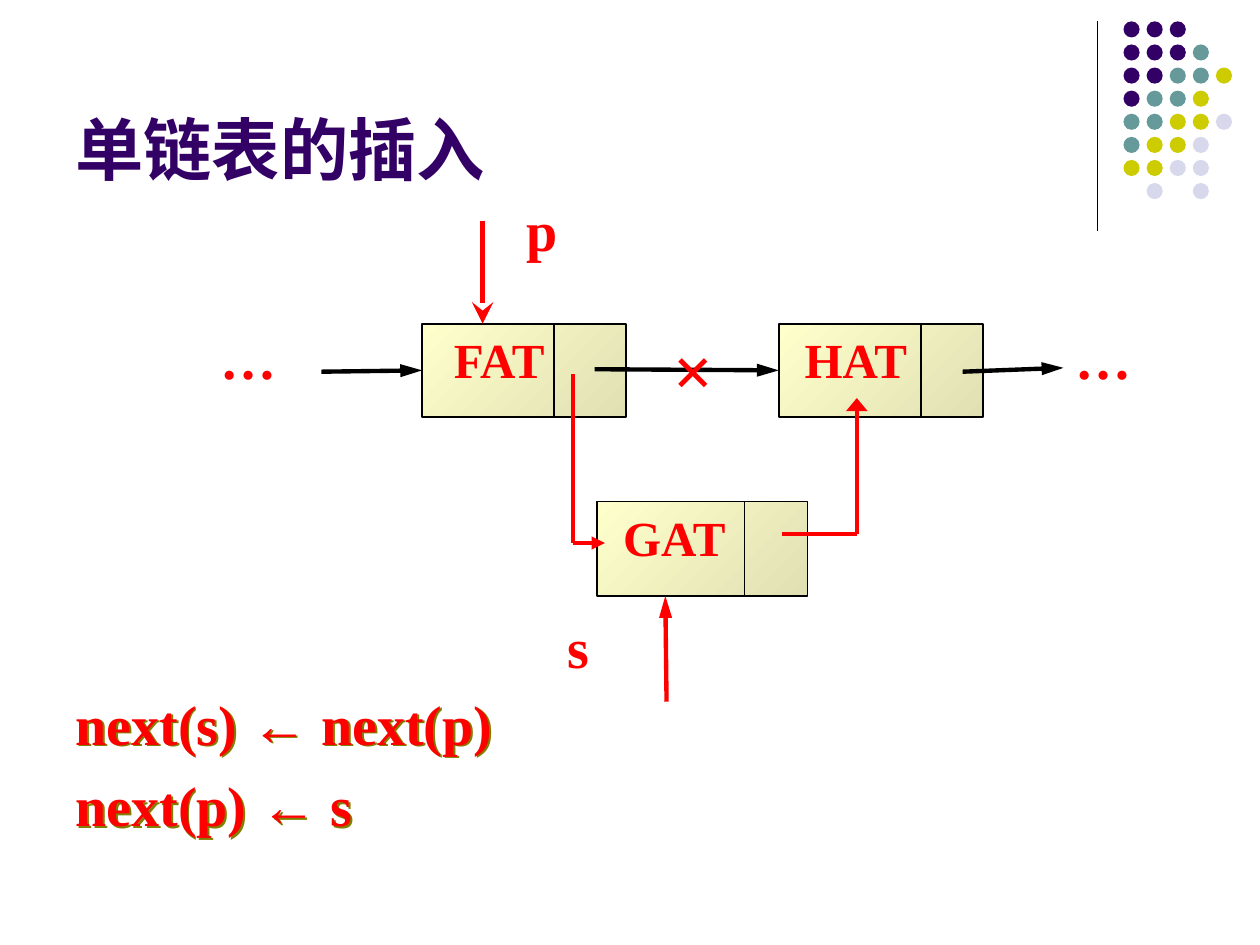
import pptx
import pptx.util
import pptx.dml.color
import pptx.enum.shapes
import pptx.enum.text
import pptx.oxml.ns
from lxml import etree

Pt = pptx.util.Pt
SHAPE = pptx.enum.shapes.MSO_SHAPE
ALIGN = pptx.enum.text.PP_ALIGN
FIT = pptx.enum.text.MSO_AUTO_SIZE
COLORS = {
    "black": "000000", "red": "FF0000", "purple": "330066", "teal": "669999",
    "olive": "CCCC00", "lavender": "D8D8EC", "cream": "FFFFCC", "sand": "E0E0B3",
    "shadow": "808000",
}
SERIF = {"name": "Times New Roman", "size": Pt(32), "bold": True}
DOT_ROWS = ["PPP", "PPPT", "PPTTO", "PTTO", "TTOOL", "TOOL", "OOLL", " L L"]
DOT_COLORS = {"P": "purple", "T": "teal", "O": "olive", "L": "lavender"}


def rgb(name):
    return pptx.dml.color.RGBColor.from_string(COLORS[name])


def child(parent, tag, **values):
    return etree.SubElement(parent, pptx.oxml.ns.qn(tag), **values)


def set_values(target, values):
    for name, value in values.items():
        setattr(target, name, value)


def text(s, box, paragraphs, font=SERIF, color="red", para=None, **frame):
    sp = s.shapes.add_textbox(*map(Pt, box))
    tf = sp.text_frame
    set_values(tf, {"word_wrap": True, "auto_size": FIT.SHAPE_TO_FIT_TEXT, **frame})
    for i, runs in enumerate(paragraphs):
        p = tf.add_paragraph() if i else tf.paragraphs[0]
        set_values(p, para or {})
        for content in runs:
            r = p.add_run()
            r.text = content
            set_values(r.font, font)
            if content == "←":
                r.font.name = "Arial"
            r.font.color.rgb = rgb(color)
    return sp


def line(s, start, end, color="black", width=2.5, head=None, target=None):
    sp = s.shapes.add_connector(pptx.enum.shapes.MSO_CONNECTOR.STRAIGHT,
                                *map(Pt, (*start, *end)))
    if target is not None:
        sp.end_connect(target, 1)
    sp.line.color.rgb = rgb(color)
    sp.line.width = Pt(width)
    if head:
        kind, w, length = head
        child(sp.line._get_or_add_ln(), "a:tailEnd", type=kind, w=w, len=length)
    child(sp._element.spPr, "a:effectLst")


def dots(s, x, y, step, size):
    for row, codes in enumerate(DOT_ROWS):
        for col, code in enumerate(codes):
            if code == " ":
                continue
            sp = s.shapes.add_shape(SHAPE.OVAL, Pt(x + col * step), Pt(y + row * step),
                                    Pt(size), Pt(size))
            sp.shadow.inherit = False
            sp.fill.solid()
            sp.fill.fore_color.rgb = rgb(DOT_COLORS[code])
            sp.line.fill.background()


def corner(s, x, y, h):
    line(s, (x, y), (x, y + h), width=0.75)
    dots(s, x + 15, y, 13.2, 9.2)


def node(s, x, y, w, h, split, label):
    sp = s.shapes.add_shape(SHAPE.RECTANGLE, *map(Pt, (x, y, w, h)))
    sp.shadow.inherit = False
    sp.fill.gradient()
    sp.fill.gradient_angle = 315
    for stop, name, position in zip(sp.fill.gradient_stops, ("cream", "sand"), (0, 1)):
        stop.color.rgb = rgb(name)
        stop.position = position
    sp.line.color.rgb = rgb("black")
    sp.line.width = Pt(1)
    line(s, (x + split, y), (x + split, y + h), width=1)
    text(s, (x + 5.8, y, 76.5, 41), [[label]], {**SERIF, "size": Pt(28)},
         para={"alignment": ALIGN.CENTER, "space_before": Pt(17.5)})
    return sp


def diagram(s, x, y):
    def at(dx, dy):
        return x + dx, y + dy

    for dx in (0, 488.9):
        text(s, (*at(dx, 71.3), 58.3, 47.5), [["…"]],
             para={"line_spacing": 1.05, "space_before": Pt(14), "space_after": Pt(22)})
    fat = node(s, *at(122.4, 77), 116.6, 53.3, 75.6, "FAT")
    hat = node(s, *at(326.2, 77), 116.6, 53.3, 81.4, "HAT")
    node(s, *at(222.5, 178.6), 120.2, 54, 84.2, "GAT")

    long_head = ("triangle", "med", "lg")
    line(s, at(64.8, 104.4), at(122.4, 103.7), head=long_head, target=fat)
    line(s, at(221, 103), at(326.2, 103.7), head=long_head, target=hat)
    line(s, at(431.3, 104.4), at(488.9, 102.2), head=long_head)

    for label, dx, dy in (("p", 175, 0), ("s", 198.7, 238.3)):
        text(s, (*at(dx, dy), 35.5, 46), [[label]], para={"space_before": Pt(20)})
    line(s, at(157, 18), at(157, 77), "red", head=("stealth", "lg", "lg"))
    line(s, at(262.1, 293), at(261.4, 232.6), "red", head=long_head)

    to_gat = [at(208.8, 105.8), at(208.8, 202.3), at(226.8, 202.3)]
    to_hat = [at(328.3, 197.3), at(370.8, 197.3), at(370.8, 119.5)]
    for (start, bend, end), head_width in ((to_gat, "med"), (to_hat, "lg")):
        line(s, start, bend, "red")
        line(s, bend, end, "red", head=("triangle", head_width, "med"))
    text(s, (*at(259.2, 74.9), 36.7, 55.4), [["×"]], {**SERIF, "size": Pt(40)},
         word_wrap=False)


def title(s, box):
    text(s, box, [["单链表的插入"]], {"name": "Arial", "size": Pt(39), "bold": True},
         "purple", auto_size=FIT.NONE,
         vertical_anchor=pptx.enum.text.MSO_ANCHOR.BOTTOM)


def steps(s, box):
    sp = text(s, box, [["next(s) ", "←", " next(p)"], ["next(p) ", "←", " s"]],
              para={"space_before": Pt(8)})
    effects = child(sp._element.spPr, "a:effectLst")
    shadow = child(effects, "a:outerShdw", dist=str(Pt(1.6)), dir="2700000",
                   algn="ctr", rotWithShape="0")
    child(shadow, "a:srgbClr", val=COLORS["shadow"])


def main():
    prs = pptx.Presentation()
    prs.slide_width, prs.slide_height = Pt(720), Pt(540)
    s = prs.slides.add_slide(prs.slide_layouts[6])
    corner(s, 627, 12.2, 119.6)
    title(s, (36, 9.4, 594, 102.2))
    diagram(s, 118.8, 108)
    steps(s, (36, 390.2, 348.5, 92.2))
    prs.save("out.pptx")


if __name__ == "__main__":
    main()
